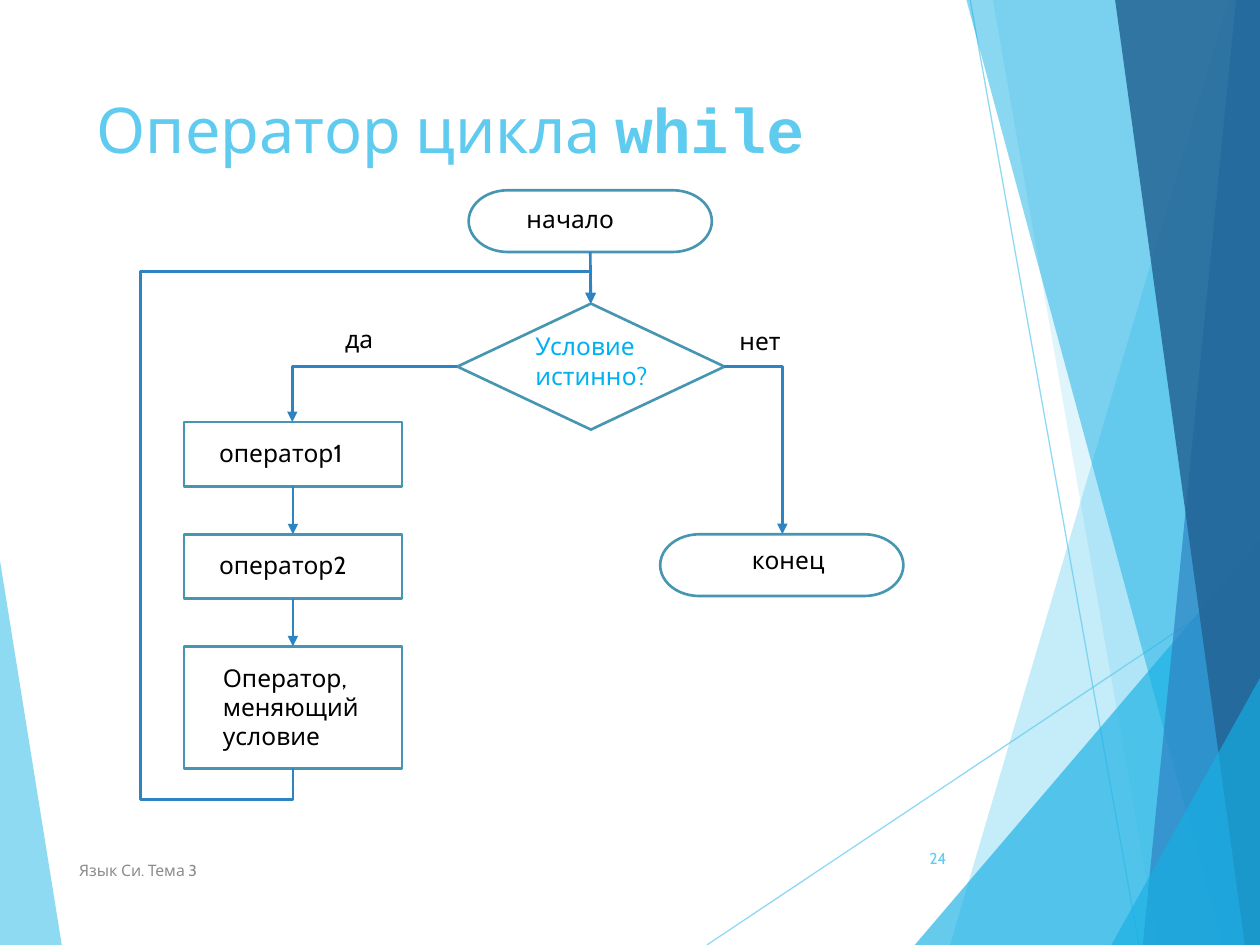
from lxml import etree
from pptx import Presentation
from pptx.dml.color import RGBColor
from pptx.enum.shapes import MSO_CONNECTOR as LINK, MSO_SHAPE as SHAPE
from pptx.enum.text import MSO_ANCHOR as ANCHOR, PP_ALIGN as ALIGN
from pptx.oxml.ns import qn
from pptx.util import Inches, Pt

COLORS = {
    "sky": "5FCBEF", "cyan": "17B0E4", "blue": "2E83C3", "navy": "226292",
    "outline": "4696B1", "question": "00B0F0", "black": "000000", "gray": "8C8C8C",
}
FONT = "Cabin"

deck = Presentation()
deck.slide_width, deck.slide_height = Inches(10), Inches(7.5)
page = deck.slides.add_slide(deck.slide_layouts[6])
shapes = page.shapes


def add_line(kind, start, end, color="blue", width=1.5, arrow=True):
    line = shapes.add_connector(kind, *(Inches(v) for v in (*start, *end)))
    line.line.color.rgb = RGBColor.from_string(COLORS[color])
    line.line.width = Pt(width)
    properties = line._element.spPr
    if arrow:
        etree.SubElement(properties.find(qn("a:ln")), qn("a:tailEnd"), type="triangle")
    etree.SubElement(properties, qn("a:effectLst"))
    return line


def add_text(text, left, top, width, height, size=14, color="black"):
    box = shapes.add_textbox(*(Inches(v) for v in (left, top, width, height)))
    box.text_frame.word_wrap = True
    para = box.text_frame.paragraphs[0]
    para.add_run().text = text
    para.font.size = Pt(size)
    para.font.name = FONT
    para.font.color.rgb = RGBColor.from_string(COLORS[color])
    return box


# Background facets: color, opacity in percent, corners
facets = [
    ("sky", 70, [(0, 4.45), (0.49, 7.5), (0, 7.5)]),
    ("sky", 36, [(9.75, 0), (7.54, 7.5), (10, 7.5), (10, 0)]),
    ("sky", 20, [(7.88, 0), (9.19, 7.5), (10, 7.5), (10, 0)]),
    ("cyan", 66, [(7.26, 7.5), (10, 4.29), (10, 7.5)]),
    ("cyan", 50, [(7.67, 0), (9.7, 7.5), (10, 7.5), (10, 0)]),
    ("blue", 70, [(9.81, 0), (9.07, 7.5), (10, 7.5), (10, 0)]),
    ("navy", 82, [(8.85, 0), (9.88, 7.5), (10, 7.5), (10, 0)]),
    ("cyan", 66, [(8.82, 7.5), (10, 5.38), (10, 7.5)]),
]
for number, (color, opacity, corners) in enumerate(facets):
    points = [(Inches(x), Inches(y)) for x, y in corners]
    builder = shapes.build_freeform(*points[0], scale=1.0)
    builder.add_line_segments(points[1:], close=True)
    facet = builder.convert_to_shape()
    facet.shadow.inherit = False
    facet.line.fill.background()
    facet.fill.solid()
    facet.fill.fore_color.rgb = RGBColor.from_string(COLORS[color])
    tint = facet._element.spPr.find(".//" + qn("a:srgbClr"))
    etree.SubElement(tint, qn("a:alpha"), val=str(opacity * 1000))

    # Thin rays lie between the left facet and the right ones
    if number == 0:
        for start, end in [((5.61, 7.5), (10, 4.57)), ((7.7, 0), (9.04, 7.5))]:
            ray = add_line(LINK.STRAIGHT, start, end, "sky", 0.75, arrow=False)
            tint = ray._element.spPr.find(".//" + qn("a:srgbClr"))
            etree.SubElement(tint, qn("a:alpha"), val="70000")

# Title, footer and page number
title = add_text("Оператор цикла ", 0.67, 0.67, 7.4, 1.44, 36, "sky")
span = title.text_frame.paragraphs[0].add_run()
span.text = "while"
span.font.name = "Courier New"
span.font.bold = True
footer = add_text("Язык Си. Тема 3", 0.53, 6.71, 5.06, 0.4, 9, "gray")
page_number = add_text("24", 7.05, 6.61, 0.56, 0.4, 9, "sky")
page_number.text_frame.paragraphs[0].alignment = ALIGN.RIGHT
for box in (footer, page_number):
    box.text_frame.vertical_anchor = ANCHOR.MIDDLE

# Flowchart blocks
blocks = {}
for name, kind, *place in [
    ("start", SHAPE.FLOWCHART_TERMINATOR, 3.72, 1.51, 1.93, 0.49),
    ("end", SHAPE.FLOWCHART_TERMINATOR, 5.24, 4.24, 1.93, 0.49),
    ("condition", SHAPE.FLOWCHART_DECISION, 3.63, 2.41, 2.12, 1),
    ("first", SHAPE.FLOWCHART_PROCESS, 1.46, 3.35, 1.73, 0.51),
    ("second", SHAPE.FLOWCHART_PROCESS, 1.46, 4.24, 1.73, 0.51),
    ("update", SHAPE.FLOWCHART_PROCESS, 1.46, 5.13, 1.73, 0.97),
]:
    block = shapes.add_shape(kind, *(Inches(v) for v in place))
    block.shadow.inherit = False
    block.fill.background()
    block.line.color.rgb = RGBColor.from_string(COLORS["outline"])
    block.line.width = Pt(1.5)
    blocks[name] = block

# Straight arrows down from block to block
for upper, lower in [("start", "condition"), ("first", "second"), ("second", "update")]:
    arrow = add_line(LINK.STRAIGHT, (0, 0), (1, 1))
    arrow.begin_connect(blocks[upper], 2)
    arrow.end_connect(blocks[lower], 0)

# Yes and no branches turn one corner
for start, end in [((3.63, 2.91), (2.32, 3.35)), ((5.75, 2.91), (6.21, 4.24))]:
    branch = add_line(LINK.ELBOW, start, end)
    branch._element.spPr.find(qn("a:prstGeom")).set("prst", "bentConnector2")

# Loop back to the condition: a quarter turn with four corners
loop = add_line(LINK.ELBOW, (5.35, 5.43), (1.66, 3.07))
loop._element.spPr.find(qn("a:xfrm")).set("rot", "5400000")
geometry = loop._element.spPr.find(qn("a:prstGeom"))
geometry.set("prst", "bentConnector5")
guides = geometry.get_or_add_avLst()
for number, value in enumerate((-6800, -51300, 106800), 1):
    etree.SubElement(guides, qn("a:gd"), name=f"adj{number}", fmla=f"val {value}")

# Flowchart labels
add_text("Условие истинно?", 4.15, 2.58, 1.12, 0.57, color="question")
for label, *place in [
    ("да", 2.64, 2.52, 0.89, 0.34),
    ("нет", 5.77, 2.54, 0.89, 0.34),
    ("оператор1", 1.64, 3.43, 1.65, 0.34),
    ("оператор2", 1.64, 4.32, 1.65, 0.34),
    ("начало", 4.08, 1.57, 1.41, 0.34),
    ("конец", 5.87, 4.28, 1.4, 0.34),
    ("Оператор, меняющий условие", 1.67, 5.21, 1.65, 0.81),
]:
    add_text(label, *place)

deck.save("out.pptx")
